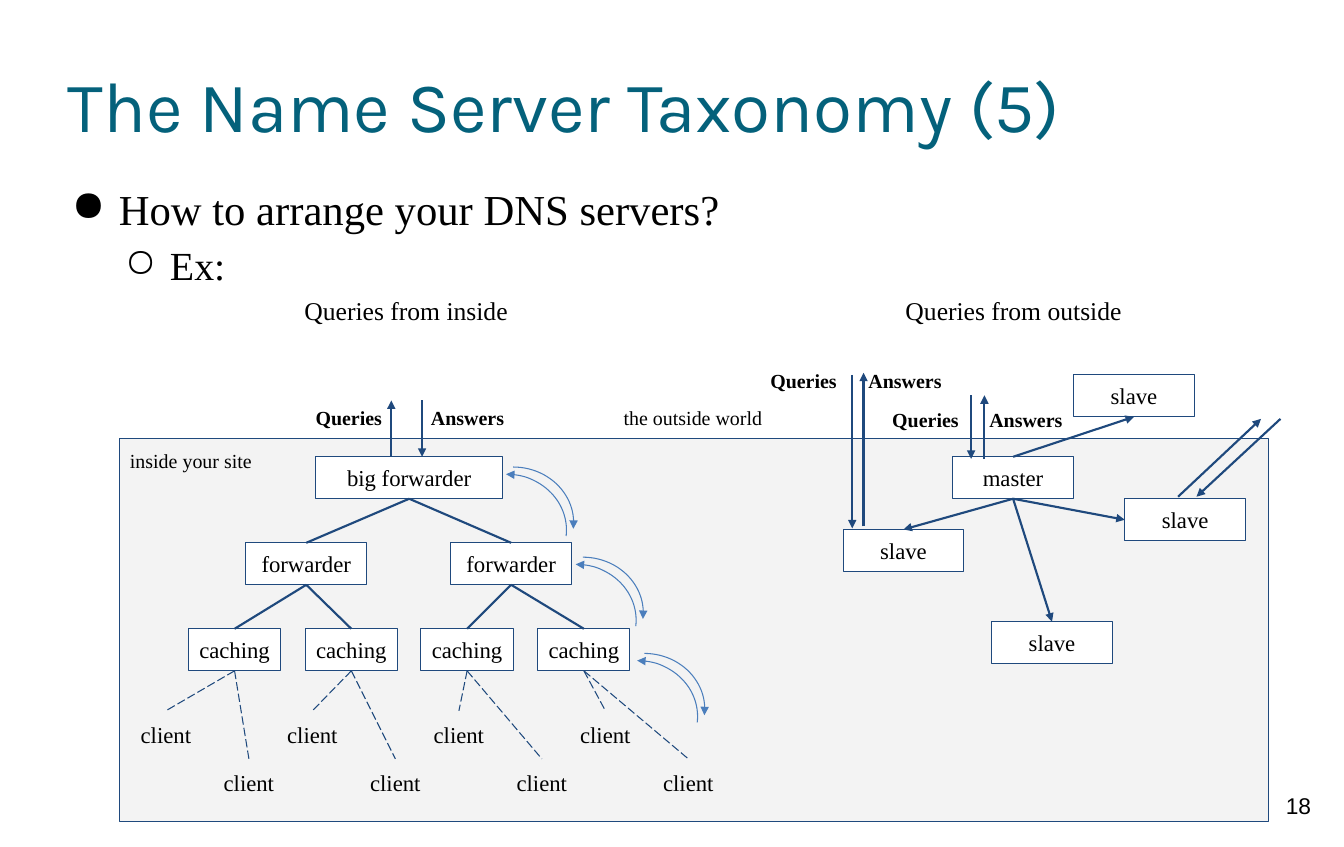
from lxml import etree
from pptx import Presentation
from pptx.dml.color import RGBColor
from pptx.enum.dml import MSO_LINE
from pptx.enum.shapes import MSO_CONNECTOR, MSO_SHAPE
from pptx.enum.text import MSO_ANCHOR, PP_ALIGN
from pptx.oxml.ns import qn
from pptx.util import Emu, Pt

PX = 9144
RECT, ARC = MSO_SHAPE.RECTANGLE, MSO_SHAPE.ARC
STRAIGHT = MSO_CONNECTOR.STRAIGHT
LONG_DASH = MSO_LINE.LONG_DASH
LEFT, CENTER = PP_ALIGN.LEFT, PP_ALIGN.CENTER
TOP, MIDDLE = MSO_ANCHOR.TOP, MSO_ANCHOR.MIDDLE
TOP_SITE, LEFT_SITE, BOTTOM_SITE = 0, 1, 2
SERIF = "Times New Roman"
NAVY, BLUE, TEAL = "1F497D", "4B7EBC", "04617B"
BLACK, WHITE, GREY = "000000", "FFFFFF", "F3F3F3"


def px(n):
    return Emu(round(n * PX))


def color(hex_string):
    return RGBColor.from_string(hex_string)


def add_run(p, text, size, font=SERIF, fill=BLACK, bold=False):
    r = p.add_run()
    r.text = text
    r.font.size = Pt(size)
    r.font.name = font
    r.font.bold = bold
    r.font.color.rgb = color(fill)


def set_frame(sp, anchor, inset):
    tf = sp.text_frame
    tf.word_wrap = True
    tf.vertical_anchor = anchor
    tf.margin_left = tf.margin_right = px(inset)
    tf.margin_top = tf.margin_bottom = px(inset)
    return tf


def add_text(s, text, x, y, w, h, size, align=CENTER, anchor=TOP, inset=10, **style):
    sp = s.shapes.add_textbox(px(x), px(y), px(w), px(h))
    p = set_frame(sp, anchor, inset).paragraphs[0]
    p.alignment = align
    add_run(p, text, size, **style)
    return sp


def add_box(s, text, x, y, w, h=41, size=16, fill=WHITE, align=CENTER, anchor=MIDDLE):
    sp = s.shapes.add_shape(RECT, px(x), px(y), px(w), px(h))
    sp.shadow.inherit = False
    sp.fill.solid()
    sp.fill.fore_color.rgb = color(fill)
    sp.line.color.rgb = color(NAVY)
    sp.line.width = Pt(0.75)
    p = set_frame(sp, anchor, 10).paragraphs[0]
    p.alignment = align
    add_run(p, text, size)
    return sp


def add_arrowhead(sp, end):
    ln = sp.element.spPr.find(qn("a:ln"))
    etree.SubElement(ln, qn(f"a:{end}"), type="triangle")


def add_line(s, x1, y1, x2, y2, width=1.5, dash=None, arrow=False):
    c = s.shapes.add_connector(STRAIGHT, px(x1), px(y1), px(x2), px(y2))
    c.line.color.rgb = color(NAVY)
    c.line.width = Pt(width)
    if dash:
        c.line.dash_style = dash
    if arrow:
        add_arrowhead(c, "tailEnd")
    etree.SubElement(c.element.spPr, qn("a:effectLst"))
    return c


def join(s, a, b, begin=BOTTOM_SITE, end=TOP_SITE, **style):
    c = add_line(s, 0, 0, 0, 0, **style)
    c.begin_connect(a, begin)
    c.end_connect(b, end)


def add_arc(s, x, y, end):
    sp = s.shapes.add_shape(ARC, px(x), px(y), px(118), px(109))
    sp.shadow.inherit = False
    sp.adjustments[0] = 162
    sp.adjustments[1] = 3.426
    sp.fill.background()
    sp.line.color.rgb = color(BLUE)
    sp.line.width = Pt(0.75)
    add_arrowhead(sp, end)


def add_bullets(s, items):
    sp = s.shapes.add_textbox(px(66), px(171), px(1184), px(105))
    tf = set_frame(sp, TOP, 0)
    for level, (text, size, mark, margin, indent) in enumerate(items):
        p = tf.add_paragraph() if level else tf.paragraphs[0]
        p.level = level
        p.line_spacing = 1.15
        pPr = p._p.get_or_add_pPr()
        pPr.set("marL", str(px(margin)))
        pPr.set("indent", str(px(indent)))
        buClr = etree.SubElement(pPr, qn("a:buClr"))
        etree.SubElement(buClr, qn("a:srgbClr"), val=BLACK)
        etree.SubElement(pPr, qn("a:buChar"), char=mark)
        add_run(p, text, size)


def add_inside_tree(s):
    root = add_box(s, "big forwarder", 308, 446, 183)
    forwarders = [add_box(s, "forwarder", 240 + 200 * i, 530, 118) for i in range(2)]
    for forwarder in forwarders:
        join(s, root, forwarder)
    for i in range(4):
        caching = add_box(s, "caching", round(184 + 113.67 * i), 614, 90)
        join(s, forwarders[i // 2], caching)
        for x, y in ((117, 694), (198, 741)):
            client = add_text(s, "client", x + 143 * i, y, 90, 47, 16)
            join(s, caching, client, width=0.75, dash=LONG_DASH)
    for x, y in ((442, 456), (510, 544), (570, 638)):
        add_arc(s, x, y, "tailEnd")
        add_arc(s, x - 7, y + 7, "headEnd")


def add_outside_tree(s):
    master = add_box(s, "master", 930, 446, 118)
    for x, y, begin, end in (
        (823, 517, BOTTOM_SITE, TOP_SITE),
        (968, 607, BOTTOM_SITE, TOP_SITE),
        (1098, 487, BOTTOM_SITE, LEFT_SITE),
        (1048, 366, TOP_SITE, BOTTOM_SITE),
    ):
        slave = add_box(s, "slave", x, y, 118)
        join(s, master, slave, begin, end, arrow=True)


def add_traffic(s):
    for ends in (
        (382, 446, 382, 391), (412, 391, 412, 446),
        (961, 448, 961, 386), (948, 386, 948, 448),
        (843, 514, 843, 364), (832, 366, 832, 516),
        (1150, 485, 1231, 409), (1250, 409, 1168, 485),
    ):
        add_line(s, *ends, arrow=True)
    for queries_x, answers_x, y in ((287, 403, 386), (850, 948, 388), (731, 830, 350)):
        add_text(s, "Queries", queries_x, y, 107, 44, 14, bold=True)
        add_text(s, "Answers", answers_x, y, 107, 44, 14, bold=True)


def main():
    prs = Presentation()
    prs.slide_width, prs.slide_height = px(1312), px(827)
    s = prs.slides.add_slide(prs.slide_layouts[6])
    add_box(s, "inside your site", 117, 428, 1121, 374, 14, GREY, LEFT, TOP)
    add_text(s, "18", 1228, 763, 79, 63, 16, font="Arial")
    add_text(s, "The Name Server Taxonomy (5)", 66, 33, 1181, 138, 50,
             LEFT, MIDDLE, 0, font="Karla", fill=TEAL)
    add_bullets(s, (
        ("How to arrange your DNS servers?", 30, "●", 50, -46),
        ("Ex:", 28, "○", 100, -44),
    ))
    add_text(s, "Queries from inside", 273, 278, 247, 50, 18)
    add_text(s, "Queries from outside", 866, 278, 247, 50, 18)
    add_text(s, "the outside world", 599, 386, 160, 44, 14, LEFT)
    add_inside_tree(s)
    add_outside_tree(s)
    add_traffic(s)
    prs.save("out.pptx")


if __name__ == "__main__":
    main()
